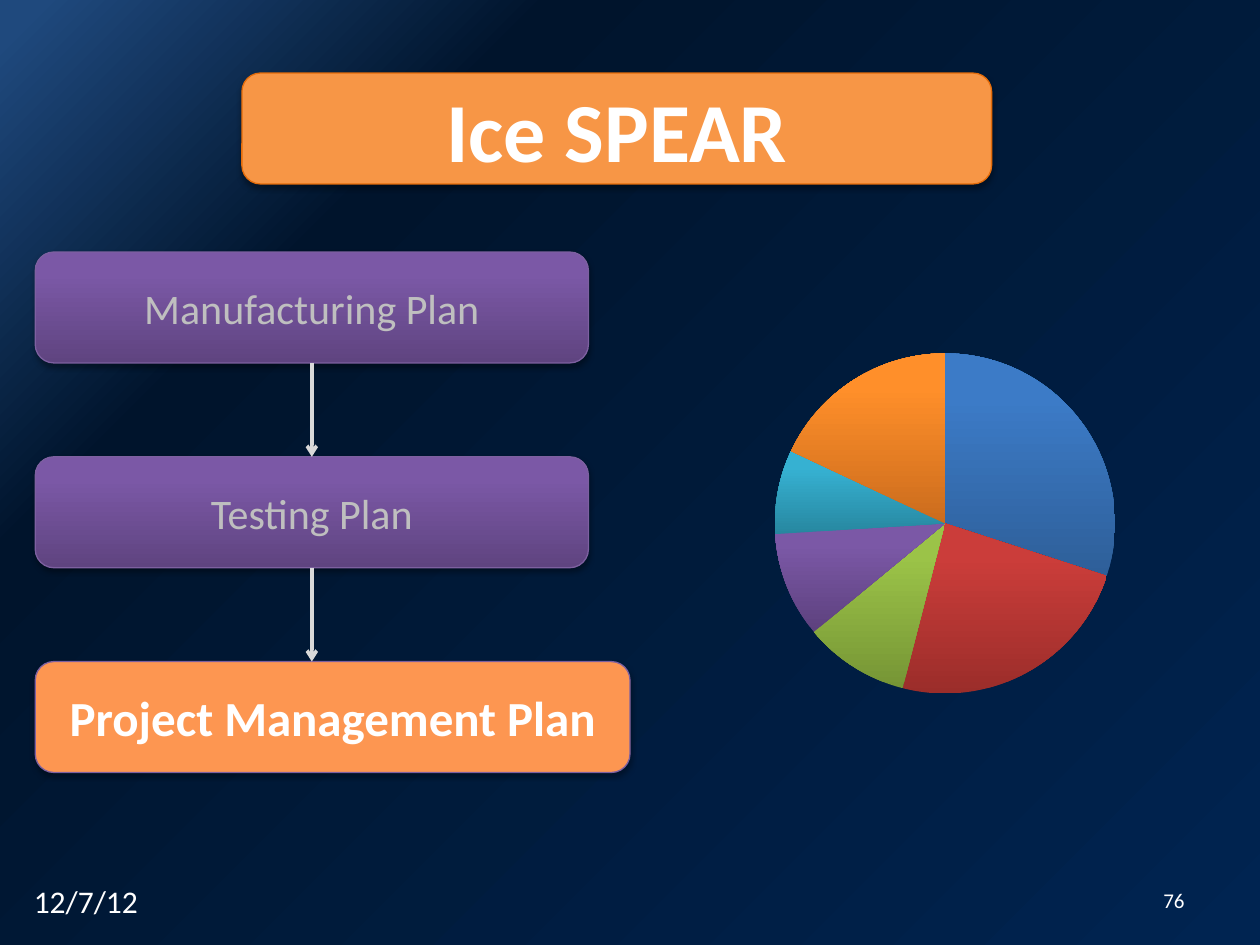
from lxml.etree import SubElement
from pptx import Presentation
from pptx.chart.data import CategoryChartData
from pptx.dml.color import RGBColor
from pptx.enum.chart import XL_CHART_TYPE
from pptx.enum.shapes import MSO_CONNECTOR, MSO_SHAPE
from pptx.enum.text import MSO_ANCHOR, PP_ALIGN
from pptx.oxml import parse_xml
from pptx.oxml.ns import nsdecls, qn
from pptx.util import Inches, Pt

THEME = {
    "font": "Calibri",
    "white": "FFFFFF", "muted": "BFBFBF", "arrow": "D9D9D9",
    "title": "F79646", "title_edge": "E46C0A",
    "current": "FD9651", "step_edge": "7D60A0",
    "step": [(0, "5F4480"), (80, "7B58A6"), (100, "7C57A8")],
    "back": [(2, "1F497D"), (25, "00142C", 92), (100, "002451")],
    "slices": [("2E5F99", "3C7BC7"), ("9B2D2A", "CB3D3A"), ("769535", "9BC348"),
               ("5D417E", "7B58A6"), ("2787A0", "36B1D2"), ("CB6C1D", "FF8F2A")],
    "title_size": 48, "current_size": 28, "step_size": 24,
    "date_size": 18, "number_size": 12, "chart_size": 10,
}

prs = Presentation()
prs.slide_width, prs.slide_height = Inches(10), Inches(7.5)
s = prs.slides.add_slide(prs.slide_layouts[6])


def place(*shares):
    """Turn x, y, w, h shares of the slide into lengths."""
    sides = (prs.slide_width, prs.slide_height) * 2
    return [round(share * side) for share, side in zip(shares, sides)]


def paint_gradient(fill, owner, stops, angle):
    """Fill with (position, colour[, opacity]) stops; owner is the XML holding the fill."""
    fill.gradient()
    grad = next(owner.iter(qn("a:gradFill")))
    for child in list(grad):
        grad.remove(child)
    stop_list = SubElement(grad, qn("a:gsLst"))
    for position, color, *opacity in stops:
        stop = SubElement(stop_list, qn("a:gs"), pos=str(position * 1000))
        rgb = SubElement(stop, qn("a:srgbClr"), val=color)
        for percent in opacity:
            SubElement(rgb, qn("a:alpha"), val=str(percent * 1000))
    SubElement(grad, qn("a:lin"), ang=str(angle * 60000), scaled="0")


paint_gradient(s.background.fill, s.background._cSld, THEME["back"], 45)

# Steps on the left, evenly spaced, and the title
LEFT, TOP, STEP_W, BOX_H, PITCH = 0.028, 0.2667, 0.439, 0.1173, 0.2167
white, muted, edge = THEME["white"], THEME["muted"], THEME["step_edge"]
boxes = [
    ("Manufacturing Plan", LEFT, TOP, STEP_W, THEME["step"], edge, THEME["step_size"], muted, False),
    ("Testing Plan", LEFT, TOP + PITCH, STEP_W, THEME["step"], edge, THEME["step_size"], muted, False),
    ("Project Management Plan", LEFT, TOP + 2 * PITCH, 0.472, THEME["current"], edge,
     THEME["current_size"], white, True),
    ("Ice SPEAR", 0.192, 0.0773, 0.595, THEME["title"], THEME["title_edge"],
     THEME["title_size"], white, True),
]
texts = []
for text, x, y, w, fill, line, size, color, bold in boxes:
    sp = s.shapes.add_shape(MSO_SHAPE.ROUNDED_RECTANGLE, *place(x, y, w, BOX_H))
    if isinstance(fill, list):
        paint_gradient(sp.fill, sp._element.spPr, fill, 270)
    else:
        sp.fill.solid()
        sp.fill.fore_color.rgb = RGBColor.from_string(fill)
    sp.line.color.rgb = RGBColor.from_string(line)
    sp.line.width = Pt(0.75)
    sp._element.spPr.append(parse_xml(
        f'<a:effectLst {nsdecls("a")}><a:outerShdw blurRad="40000" dist="23000" dir="5400000" '
        'rotWithShape="0"><a:srgbClr val="000000"><a:alpha val="35000"/></a:srgbClr>'
        '</a:outerShdw></a:effectLst>'))
    texts.append((sp, text, size, color, bold, PP_ALIGN.CENTER, MSO_ANCHOR.MIDDLE))

# Arrows between the steps
for row in range(2):
    x, y, _, gap = place(LEFT + STEP_W / 2, TOP + row * PITCH + BOX_H, 0, PITCH - BOX_H)
    arrow = s.shapes.add_connector(MSO_CONNECTOR.STRAIGHT, x, y, x, y + gap)
    arrow.line.color.rgb = RGBColor.from_string(THEME["arrow"])
    arrow.line.width = Pt(2)
    SubElement(arrow.line._get_or_add_ln(), qn("a:tailEnd"), type="arrow")
    SubElement(arrow._element.spPr, qn("a:effectLst"))

# Pie chart on the right
data = CategoryChartData()
data.categories = ["1", "2", "3", "4", "5", "6"]
data.add_series("Series 1", (30, 24, 10, 10, 8, 18))
chart = s.shapes.add_chart(XL_CHART_TYPE.PIE, *place(0.5, 0.356, 0.5, 0.4), data).chart
chart.has_title = chart.has_legend = False
chart.font.name = THEME["font"]
chart.font.size = Pt(THEME["chart_size"])
chart.font.color.rgb = RGBColor.from_string(white)
plot = chart.plots[0]
plot.vary_by_categories = True
series = plot.series[0]
for i, (dark, light) in enumerate(THEME["slices"]):
    fill = series.points[i].format.fill
    owner = series._element.findall(qn("c:dPt"))[i]
    paint_gradient(fill, owner, [(0, dark), (80, light), (100, light)], 270)
area = chart._chartSpace.chart.plotArea
for old in area.findall(qn("c:layout")):
    area.remove(old)
area.insert(0, parse_xml(
    f'<c:layout {nsdecls("c")}><c:manualLayout><c:layoutTarget val="inner"/>'
    '<c:xMode val="edge"/><c:yMode val="edge"/><c:x val="0.23"/><c:y val="0.04"/>'
    '<c:w val="0.54"/><c:h val="0.91"/></c:manualLayout></c:layout>'))

# Footer
for text, x, w, h, size, align, anchor in (
    ("12/7/12", 0.017, 0.233, 0.0533, THEME["date_size"], PP_ALIGN.LEFT, MSO_ANCHOR.TOP),
    ("76", 0.908, 0.042, 0.0507, THEME["number_size"], PP_ALIGN.RIGHT, MSO_ANCHOR.MIDDLE),
):
    sp = s.shapes.add_textbox(*place(x, 0.9267, w, h))
    texts.append((sp, text, size, white, False, align, anchor))

for sp, text, size, color, bold, align, anchor in texts:
    tf = sp.text_frame
    tf.word_wrap = True
    tf.vertical_anchor = anchor
    p = tf.paragraphs[0]
    p.alignment = align
    r = p.add_run()
    r.text = text
    r.font.name = THEME["font"]
    r.font.size = Pt(size)
    r.font.bold = bold
    r.font.color.rgb = RGBColor.from_string(color)

prs.save("out.pptx")
